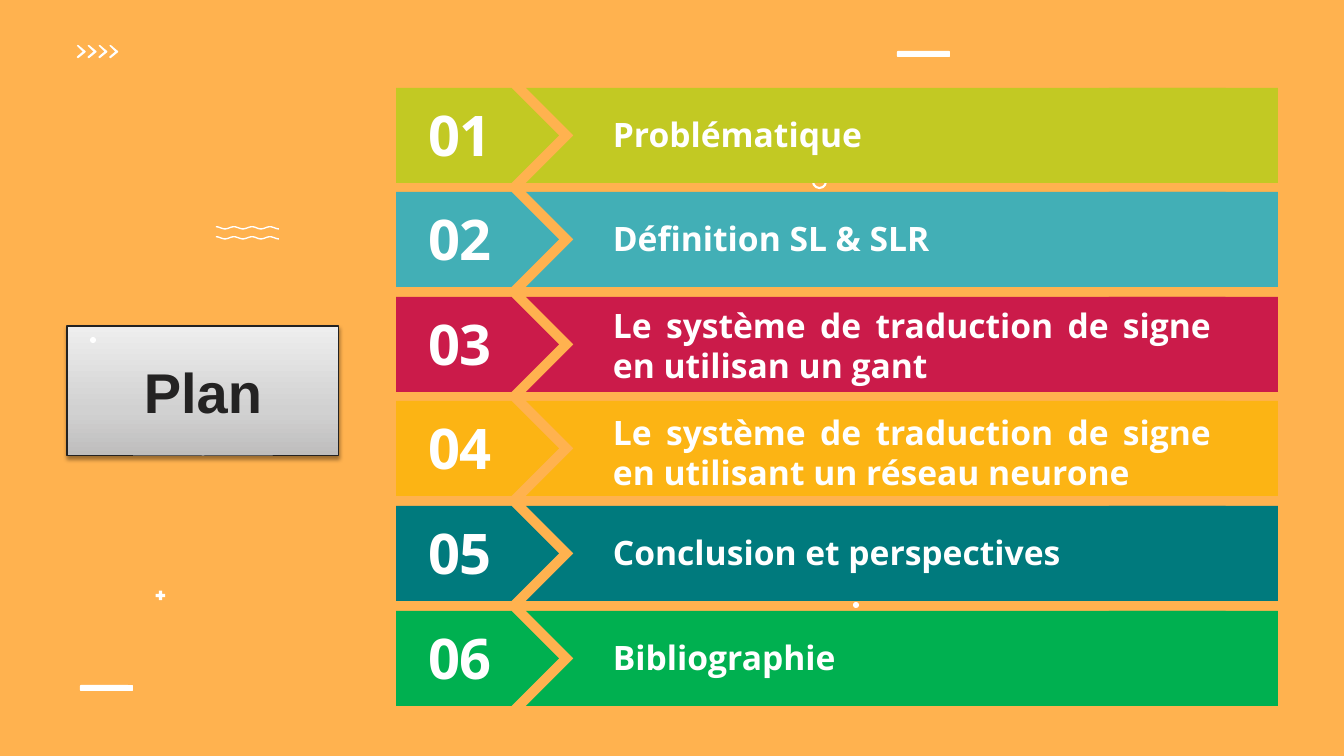
import math
from pptx import Presentation
from pptx.dml.color import RGBColor
from pptx.enum.shapes import MSO_SHAPE
from pptx.enum.text import MSO_ANCHOR, MSO_AUTO_SIZE, PP_ALIGN
from pptx.oxml import parse_xml
from pptx.oxml.ns import nsdecls
from pptx.util import Pt

PX = 914400 / 100.8
TITLE_ONLY = 5
OVAL = MSO_SHAPE.OVAL
PLUS = MSO_SHAPE.MATH_PLUS
BAR = MSO_SHAPE.ROUNDED_RECTANGLE
PLATE = MSO_SHAPE.PENTAGON
CHEVRON = MSO_SHAPE.CHEVRON
RECTANGLE = MSO_SHAPE.RECTANGLE
MIDDLE = MSO_ANCHOR.MIDDLE
GROW = MSO_AUTO_SIZE.SHAPE_TO_FIT_TEXT
FIXED = MSO_AUTO_SIZE.NONE
CENTER = PP_ALIGN.CENTER
JUSTIFY = PP_ALIGN.JUSTIFY

COLOURS = {
    "background": "FFB24F", "white": "FFFFFF", "lime": "C2C923", "aqua": "42AFB6",
    "crimson": "CB1B4A", "amber": "FCB414", "teal": "007A7D", "green": "00B050",
    "title": "242323", "outline": "232222", "shadow": "000000",
    "grey_dark": "BEBDBD", "grey_mid": "D1D1D1", "grey_light": "EEEEEE",
}
ONE_LINE = (21, 512, 50)
TWO_LINES = (2, 618, 92)
TWO_LINES_LOW = (5, 618, 92)
CHAPTERS = [
    ("lime", "Problématique", ONE_LINE),
    ("aqua", "Définition SL & SLR", ONE_LINE),
    ("crimson", "Le système de traduction de signe en utilisan un gant", TWO_LINES),
    ("amber", "Le système de traduction de signe en utilisant un réseau neurone", TWO_LINES_LOW),
    ("teal", "Conclusion et perspectives", ONE_LINE),
    ("green", "Bibliographie", ONE_LINE),
]
ARROW_OUTLINE = [(8, 0), (0, 8), (58, 66), (0, 116), (0, 126), (8, 131),
                 (14, 131), (85, 74), (88, 66), (85, 60), (16, 2)]


def px(*lengths):
    """Turn pixel lengths into EMU."""
    return [round(length * PX) for length in lengths]


def rgb(name):
    """Return the named colour."""
    return RGBColor.from_string(COLOURS[name])


def paint(shape, colour):
    """Fill a shape with one flat colour, without line or shadow."""
    shape.shadow.inherit = False
    shape.fill.solid()
    shape.fill.fore_color.rgb = rgb(colour)
    shape.line.fill.background()


def add_block(slide, kind, box, colour, adjustment=None):
    """Add a flat preset shape in the given box."""
    shape = slide.shapes.add_shape(kind, *px(*box))
    if adjustment is not None:
        shape.adjustments[0] = adjustment
    paint(shape, colour)


def add_outline(slide, left, top, points):
    """Add a white freeform whose points are tenths of a pixel from left and top."""
    corners = [(left * 10 + x, top * 10 + y) for x, y in points]
    builder = slide.shapes.build_freeform(*corners[0], scale=PX / 10)
    builder.add_line_segments(corners[1:], close=True)
    paint(builder.convert_to_shape(), "white")


def write(frame, text, font_name, size, colour, alignment):
    """Put one bold paragraph in a text frame."""
    frame.word_wrap = True
    frame.vertical_anchor = MIDDLE
    para = frame.paragraphs[0]
    para.text = text
    para.alignment = alignment
    para.font.name = font_name
    para.font.size = Pt(size)
    para.font.bold = True
    para.font.color.rgb = rgb(colour)


def add_label(slide, box, text, size, alignment):
    """Add a white text box."""
    frame = slide.shapes.add_textbox(*px(*box)).text_frame
    frame.auto_size = GROW
    write(frame, text, "Open Sans", size, "white", alignment)


def add_decorations(slide):
    """Scatter the small white ornaments over the background."""
    for left, top in [(90, 337), (853, 602)]:
        add_block(slide, OVAL, (left, top, 6, 6), "white")
    for left, top in [(897, 51), (80, 685)]:
        add_block(slide, BAR, (left, top, 53, 6), "white", 0.17)
    add_block(slide, PLUS, (154, 589, 13, 13), "white", 0.24)

    ring = slide.shapes.add_shape(OVAL, *px(813, 175, 13, 13))
    ring.shadow.inherit = False
    ring.fill.background()
    ring.line.color.rgb = rgb("white")
    ring.line.width = Pt(1.5)

    crest = [(x, round(11 - 11 * math.cos(math.tau * x / 180))) for x in range(0, 631, 10)]
    trough = [(x, y + 14) for x, y in reversed(crest)]
    for top in (226, 236):
        add_outline(slide, 216, top, crest + trough)
    for index in range(4):
        add_outline(slide, 77, 45, [(x + 108 * index, y) for x, y in ARROW_OUTLINE])


def add_chapter(slide, box, number, colour, text, label_place):
    """Add one numbered chapter band in the given box."""
    left, top, width, height = box
    add_block(slide, PLATE, (left, top, 163, height), colour)
    add_block(slide, CHEVRON, (left + 130, top, 747, height), colour)
    add_block(slide, RECTANGLE, (left + width - 169, top, 169, height), colour)
    add_label(slide, (left + 8, top + 8, 112, 77), f"{number:02}", 40, CENTER)
    drop, label_width, label_height = label_place
    add_label(slide, (left + 207, top + drop, label_width, label_height), text, 24, JUSTIFY)


def format_title(title, box):
    """Turn the title placeholder into a shaded oval."""
    title.left, title.top, title.width, title.height = px(*box)
    stops = "".join(
        f'<a:gs pos="{position}"><a:srgbClr val="{COLOURS[name]}"/></a:gs>'
        for position, name in [(0, "grey_dark"), (35000, "grey_mid"), (100000, "grey_light")])
    namespace = nsdecls("a")
    for xml in (
        f'<a:prstGeom {namespace} prst="ellipse"><a:avLst/></a:prstGeom>',
        f'<a:gradFill {namespace} rotWithShape="1"><a:gsLst>{stops}</a:gsLst>'
        '<a:lin ang="16200000" scaled="0"/></a:gradFill>',
    ):
        title.element.spPr.append(parse_xml(xml))
    title.line.color.rgb = rgb("outline")
    title.line.width = Pt(0.75)
    title.element.spPr.append(parse_xml(
        f'<a:effectLst {namespace}><a:outerShdw blurRad="{Pt(3.1)}" dist="{Pt(1.6)}" '
        f'dir="5400000" rotWithShape="0"><a:srgbClr val="{COLOURS["shadow"]}">'
        '<a:alpha val="38000"/></a:srgbClr></a:outerShdw></a:effectLst>'))
    title.text_frame.auto_size = FIXED
    write(title.text_frame, "Plan", "Arial", 40, "title", CENTER)


def main():
    """Build the plan slide and save the deck."""
    deck = Presentation()
    deck.slide_width, deck.slide_height = px(1344, 756)
    slide = deck.slides.add_slide(deck.slide_layouts[TITLE_ONLY])
    slide.background.fill.solid()
    slide.background.fill.fore_color.rgb = rgb("background")
    format_title(slide.shapes.title, (67, 326, 272, 130))
    add_decorations(slide)
    for index, chapter in enumerate(CHAPTERS):
        add_chapter(slide, (396, 88 + 523 * index // 5, 882, 95), index + 1, *chapter)
    deck.save("out.pptx")


if __name__ == "__main__":
    main()
